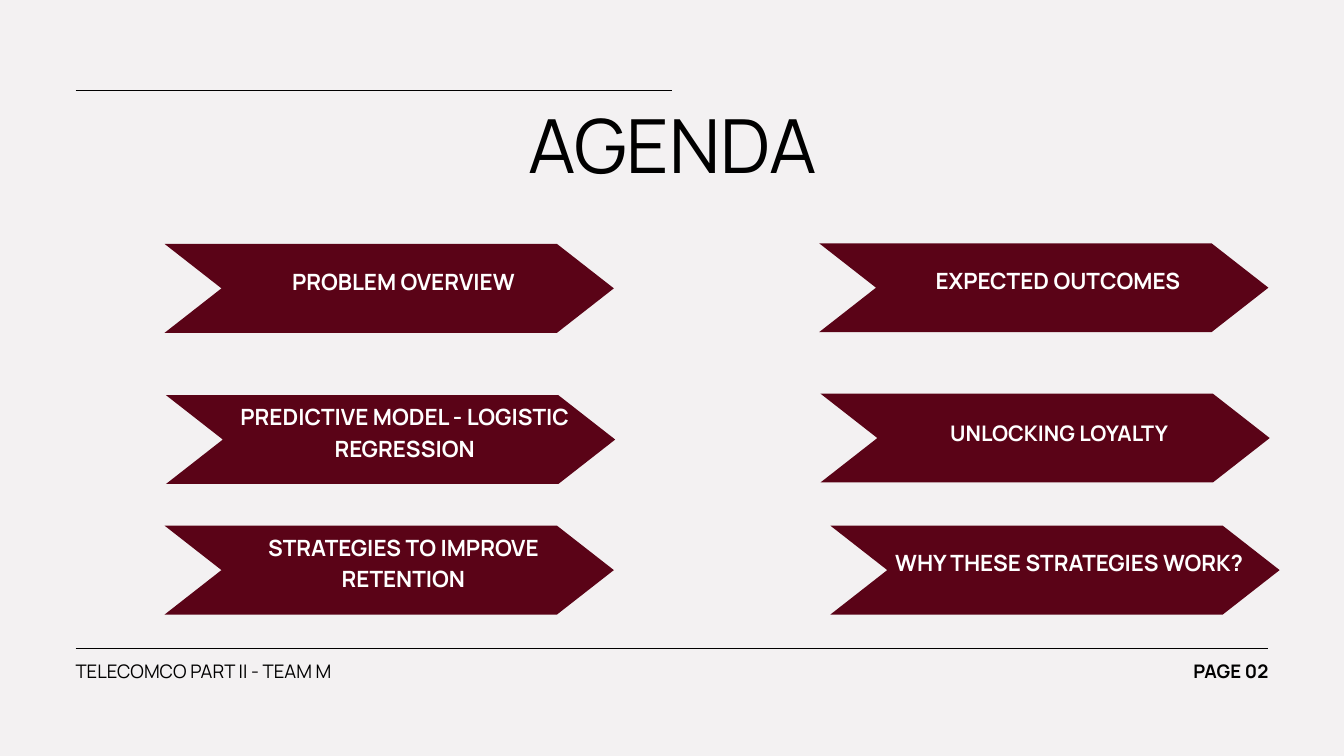
from lxml.etree import SubElement
from pptx import Presentation
from pptx.dml.color import RGBColor
from pptx.enum.shapes import MSO_CONNECTOR, MSO_SHAPE
from pptx.enum.text import MSO_ANCHOR, MSO_AUTO_SIZE, PP_ALIGN
from pptx.oxml.ns import qn
from pptx.util import Inches, Pt

PAPER = RGBColor(0xF3, 0xF1, 0xF2)
WINE = RGBColor(0x5A, 0x03, 0x17)
BLACK = RGBColor(0, 0, 0)
WHITE = RGBColor(0xFF, 0xFF, 0xFF)

COLS, ROWS = 80, 45
LEFT, MID, RIGHT = 4.5, 40, 75.5

# column, row, label, text size
TOPICS = [
    (9.8, 14.52, "PROBLEM OVERVIEW", 24),
    (9.88, 23.52, "PREDICTIVE MODEL - LOGISTIC REGRESSION", 24),
    (9.8, 31.29, "STRATEGIES TO IMPROVE RETENTION", 24),
    (48.76, 14.48, "EXPECTED OUTCOMES", 24),
    (48.84, 23.43, "UNLOCKING LOYALTY", 23),
    (49.43, 31.29, "WHY THESE STRATEGIES WORK?", 24),
]


def write(shape, text, size, color=BLACK, bold=False, align=PP_ALIGN.LEFT,
          anchor=MSO_ANCHOR.TOP, inset=0, lead=1.4):
    frame = shape.text_frame
    frame.word_wrap = True
    frame.auto_size = MSO_AUTO_SIZE.NONE
    frame.vertical_anchor = anchor
    frame.margin_left = frame.margin_right = Inches(inset)
    frame.margin_top = frame.margin_bottom = Inches(inset)
    para = frame.paragraphs[0]
    para.alignment = align
    para.line_spacing = Pt(size * lead)
    para.space_before = Pt(0)
    run = para.add_run()
    run.text = text
    font = run.font
    font.name, font.size, font.bold = "Manrope", Pt(size), bold
    font.color.rgb = color


class Deck:
    """Holds the grid and the current slide."""

    def __init__(self):
        self.prs = Presentation()
        self.prs.slide_width = Inches(20)
        self.prs.slide_height = Inches(11.25)
        self.slide = self.prs.slides.add_slide(self.prs.slide_layouts[5])
        fill = self.slide.background.fill
        fill.solid()
        fill.fore_color.rgb = PAPER

    def grid(self, col, row, wide, high):
        """Turn columns and rows into slide lengths."""
        unit_x = self.prs.slide_width / COLS
        unit_y = self.prs.slide_height / ROWS
        return (round(col * unit_x), round(row * unit_y),
                round(wide * unit_x), round(high * unit_y))

    def title(self, text, *area):
        shape = self.slide.shapes.title
        shape.left, shape.top, shape.width, shape.height = self.grid(*area)
        write(shape, text, 80, align=PP_ALIGN.CENTER, lead=1.02)

    def rule(self, start, end, row):
        x, y, wide, _ = self.grid(start, row, end - start, 0)
        line = self.slide.shapes.add_connector(
            MSO_CONNECTOR.STRAIGHT, x, y, x + wide, y)
        line.line.color.rgb = BLACK
        line.line.width = Pt(0.75)
        SubElement(line._element.spPr, qn("a:effectLst"))

    def label(self, text, *area, **style):
        write(self.slide.shapes.add_textbox(*self.grid(*area)), text, **style)

    def topic(self, col, row, text, size):
        """Draw a chevron grouped with its label, which shares its foot."""
        group = self.slide.shapes.add_group_shape().shapes
        high = 5.29
        shape = group.add_shape(MSO_SHAPE.CHEVRON,
                                *self.grid(col, row, 26.74, high))
        shape.adjustments[0] = 0.64
        shape.shadow.inherit = False
        shape.fill.solid()
        shape.fill.fore_color.rgb = WINE
        shape.line.fill.background()
        tall = size * 0.27 - 0.08
        box = group.add_textbox(
            *self.grid(col + 2.95, row + high - tall, 22.52, tall))
        write(box, text, size, color=WHITE, bold=True, inset=0.06,
              align=PP_ALIGN.CENTER, anchor=MSO_ANCHOR.MIDDLE)


def main():
    deck = Deck()
    deck.title("AGENDA", 19.36, 6.68, 41.32, 5.04)
    for topic in TOPICS:
        deck.topic(*topic)
    deck.rule(LEFT, MID, 5.4)
    deck.rule(LEFT, RIGHT, 38.6)
    deck.label("PAGE 02", RIGHT - 5.56, 39.08, 5.56, 1.56, size=20,
               bold=True, align=PP_ALIGN.RIGHT)
    deck.label("TELECOMCO PART II - TEAM M", LEFT, 39.08, 17.04, 1.56, size=20)
    deck.prs.save("out.pptx")


if __name__ == "__main__":
    main()
